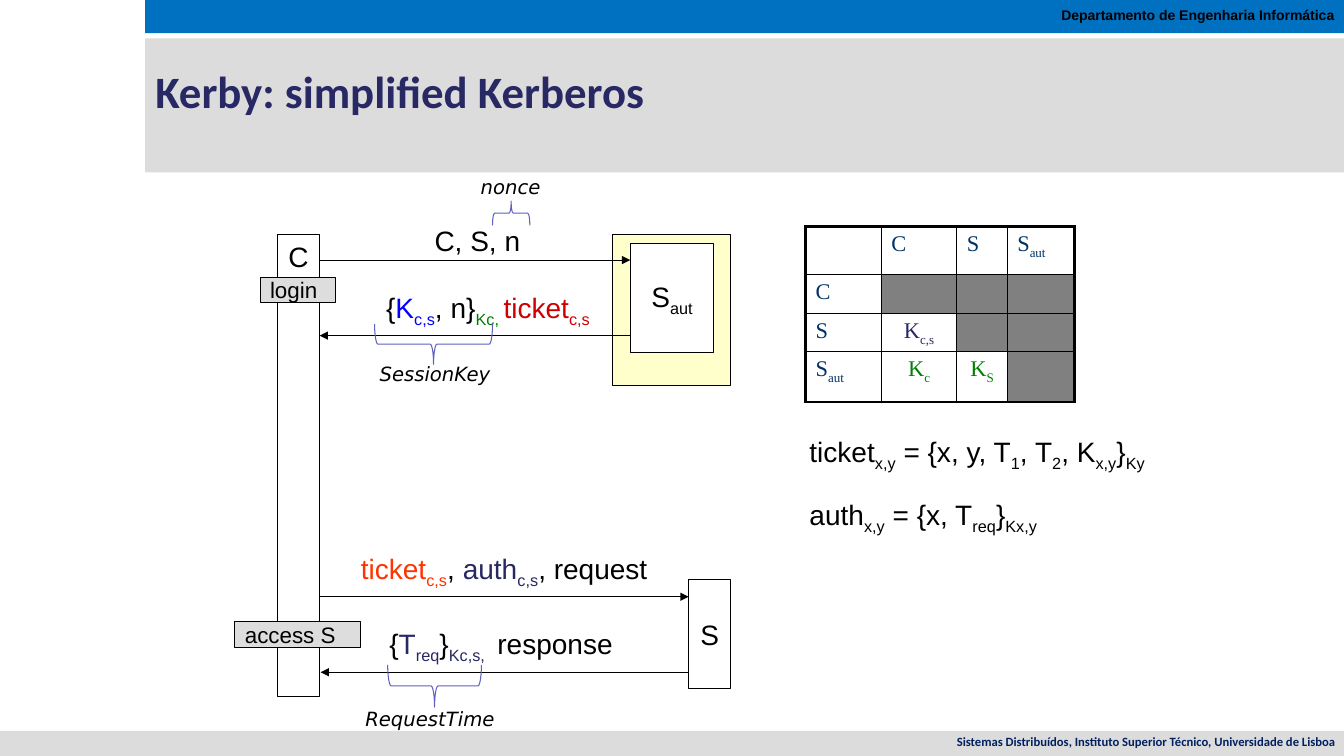
from lxml import etree
from pptx import Presentation
from pptx.dml.color import RGBColor
from pptx.enum.shapes import MSO_CONNECTOR, MSO_SHAPE
from pptx.enum.text import MSO_ANCHOR, PP_ALIGN
from pptx.oxml.ns import qn
from pptx.util import Inches, Pt

RECT, BRACE = MSO_SHAPE.RECTANGLE, MSO_SHAPE.RIGHT_BRACE
STRAIGHT = MSO_CONNECTOR.STRAIGHT
TOP, MIDDLE = MSO_ANCHOR.TOP, MSO_ANCHOR.MIDDLE
LEFT, CENTER, RIGHT = PP_ALIGN.LEFT, PP_ALIGN.CENTER, PP_ALIGN.RIGHT
TITLE_ONLY = 5

COLORS = {
    "black": "000000", "white": "FFFFFF", "band": "DCDCDC", "header": "0070C0",
    "navy": "282864", "footer": "002060", "server": "FFFFCC", "label": "DDDDDD",
    "brace": "6060C0", "key": "0000FF", "green": "008000", "ticket": "CC0000",
    "new_ticket": "FF3300", "teal": "003366", "blocked": "808080",
}


def color(name):
    """Return the named colour."""
    return RGBColor.from_string(COLORS[name])


def write(frame, parts, size, font="Arial", align=LEFT, anchor=TOP, wrap=False,
          bold=False, italic=False):
    """Write (text, colour) parts, where ~marks~ enclose a subscript."""
    frame.word_wrap = wrap
    frame.vertical_anchor = anchor
    paragraph = frame.paragraphs[0]
    paragraph.alignment = align
    for text, tint in parts:
        for index, piece in enumerate(text.split("~")):
            if not piece:
                continue
            run = paragraph.add_run()
            run.text = piece
            run.font.name, run.font.size = font, Pt(size)
            run.font.bold, run.font.italic = bold, italic
            run.font.color.rgb = color(tint)
            if index % 2:
                run.font._element.set("baseline", "-25000")


def add_text(slide, box, parts, size=20, **style):
    """Add a text box."""
    label = slide.shapes.add_textbox(*map(Inches, box))
    write(label.text_frame, parts, size, **style)


def add_box(slide, box, fill, text="", size=20, outlined=True, align=CENTER, anchor=MIDDLE):
    """Add a rectangle with an optional label."""
    rect = slide.shapes.add_shape(RECT, *map(Inches, box))
    rect.shadow.inherit = False
    rect.fill.solid()
    rect.fill.fore_color.rgb = color(fill)
    if outlined:
        rect.line.color.rgb = color("black")
        rect.line.width = Pt(0.75)
    else:
        rect.line.fill.background()
    if text:
        write(rect.text_frame, [(text, "black")], size, align=align, anchor=anchor)


def add_brace(slide, box, rotation):
    """Add a rotated curly brace."""
    brace = slide.shapes.add_shape(BRACE, *map(Inches, box))
    brace.rotation = rotation
    brace.shadow.inherit = False
    brace.fill.background()
    brace.line.color.rgb = color("brace")
    brace.line.width = Pt(0.75)


def add_message_arrow(slide, start, end, y):
    """Add a horizontal arrow from start to end."""
    arrow = slide.shapes.add_connector(STRAIGHT, *map(Inches, (start, y, end, y)))
    arrow.line.color.rgb = color("black")
    arrow.line.width = Pt(0.75)
    properties = arrow._element.spPr
    etree.SubElement(properties.find(qn("a:ln")), qn("a:tailEnd"), type="triangle")
    etree.SubElement(properties, qn("a:effectLst"))


def set_borders(cell, widths):
    """Give the cell black borders of the given widths by side."""
    properties = cell._tc.get_or_add_tcPr()
    for side, width in widths.items():
        line = etree.SubElement(properties, qn("a:ln" + side), w=str(Pt(width)))
        fill = etree.SubElement(line, qn("a:solidFill"))
        etree.SubElement(fill, qn("a:srgbClr"), val=COLORS["black"])


def add_key_table(slide):
    """Add the matrix of keys shared by each pair of parties."""
    rows = [
        ["", "C", "S", "S~aut~"],
        ["C", None, None, None],
        ["S", "K~c,s~", None, None],
        ["S~aut~", "K~c~", "K~S~", None],
    ]
    tints = {"K~c,s~": "navy", "K~c~": "green", "K~S~": "green"}
    last = len(rows) - 1
    table = slide.shapes.add_table(
        4, 4, *map(Inches, (7.99, 2.25, 2.67, 1.74))).table
    table.first_row = table.horz_banding = False
    for column, width in zip(table.columns, (0.75, 0.75, 0.5, 0.67)):
        column.width = Inches(width)
    for row, height in zip(table.rows, (0.47, 0.39, 0.38, 0.5)):
        row.height = Inches(height)
    for r, row in enumerate(rows):
        for c, text in enumerate(row):
            cell = table.cell(r, c)
            edges = {"L": c == 0, "R": c == last, "T": r == 0, "B": r == last}
            set_borders(cell, {side: 2.25 if outer else 1 for side, outer in edges.items()})
            cell.fill.solid()
            cell.fill.fore_color.rgb = color("blocked" if text is None else "white")
            if text:
                write(cell.text_frame, [(text, tints.get(text, "teal"))], 16,
                      font="Times New Roman", align=CENTER if text in tints else LEFT,
                      wrap=True)
                cell.margin_bottom = Inches(0.02)
            else:
                cell.margin_top = cell.margin_bottom = 0


def add_frame(slide):
    """Add the header, the title and the footer."""
    for box, fill in [
        ((1.44, 0.38, 11.89, 1.33), "band"),
        ((1.44, 0, 11.89, 0.33), "header"),
        ((0, 7.25, 13.33, 0.25), "band"),
    ]:
        add_box(slide, box, fill, outlined=False)
    add_text(slide, (8.72, 0.02, 4.61, 0.27),
             [("Departamento de Engenharia Informática", "black")],
             size=10, align=RIGHT, wrap=True, bold=True)
    title = slide.shapes.title
    title.left, title.top, title.width, title.height = map(Inches, (1.44, 0.58, 10.89, 1.08))
    write(title.text_frame, [("Kerby: simplified Kerberos", "navy")], 32,
          font="Calibri", wrap=True, bold=True)
    title._element.getparent().append(title._element)
    add_text(slide, (6.08, 7.23, 7.26, 0.25),
             [("Sistemas Distribuídos, Instituto Superior Técnico, Universidade de Lisboa",
               "footer")],
             size=9, font="Calibri", align=RIGHT, anchor=MIDDLE, wrap=True, bold=True)


def add_exchange(slide):
    """Add the parties and the messages between them."""
    add_box(slide, (6.08, 2.33, 1.17, 1.5), "server")
    add_box(slide, (2.75, 2.33, 0.42, 4.58), "white", "C", anchor=TOP)
    add_box(slide, (6.83, 5.75, 0.42, 1.08), "white", "S")
    add_box(slide, (6.25, 2.42, 0.83, 1.08), "white", "S~aut~")
    for start, end, y in [(3.17, 6.25, 2.58), (6.25, 3.17, 3.33),
                          (3.17, 6.83, 5.92), (6.83, 3.18, 6.67)]:
        add_message_arrow(slide, start, end, y)
    messages = [
        ((4.21, 2.17, 1.05, 0.43), [("C, S, n", "black")]),
        ((3.67, 2.83, 2.34, 0.44),
         [("{", "black"), ("K~c,s~", "key"), (", n}", "black"),
          ("~Kc, ~", "green"), ("ticket~c,s~", "ticket")]),
        ((3.44, 5.42, 3.12, 0.44),
         [("ticket~c,s~", "new_ticket"), (", ", "black"),
          ("auth~c,s~", "navy"), (", request", "black")]),
        ((3.71, 6.17, 2.52, 0.44),
         [("{", "black"), ("T~req~", "navy"), ("}", "black"),
          ("~Kc,s, ~", "navy"), (" response", "black")]),
    ]
    for box, parts in messages:
        add_text(slide, box, parts, align=CENTER)
    add_box(slide, (2.58, 2.75, 0.75, 0.25), "label", "login", size=16, align=LEFT)
    add_box(slide, (2.33, 6.17, 1.25, 0.25), "label", "access S", size=16, align=LEFT)


def add_annotations(slide):
    """Add the braces and the italic names under or over them."""
    for name, brace, rotation, left, top in [
        ("SessionKey", (4.1, 2.83, 0.4, 1.17), 90, 3.41, 3.54),
        ("RequestTime", (4.1, 6.34, 0.42, 0.93), 90, 3.36, 6.96),
        ("nonce", (4.95, 1.93, 0.24, 0.37), 270, 4.16, 1.69),
    ]:
        add_brace(slide, brace, rotation)
        add_text(slide, (left, top, 1.81, 0.34), [(name, "black")], size=14,
                 font="DejaVu Sans", align=CENTER, wrap=True, italic=True)


def main():
    """Build and save the slide."""
    deck = Presentation()
    deck.slide_width, deck.slide_height = Inches(13.33), Inches(7.5)
    slide = deck.slides.add_slide(deck.slide_layouts[TITLE_ONLY])
    add_frame(slide)
    add_exchange(slide)
    add_annotations(slide)
    add_key_table(slide)
    add_text(slide, (7.93, 4.26, 3.64, 0.43),
             [("ticket~x,y~ = {x, y, T~1~, T~2~, K~x,y~}~Ky~", "black")])
    add_text(slide, (7.93, 4.89, 2.57, 0.44),
             [("auth~x,y~ = {x, T~req~}~Kx,y~", "black")])
    deck.save("out.pptx")


if __name__ == "__main__":
    main()
